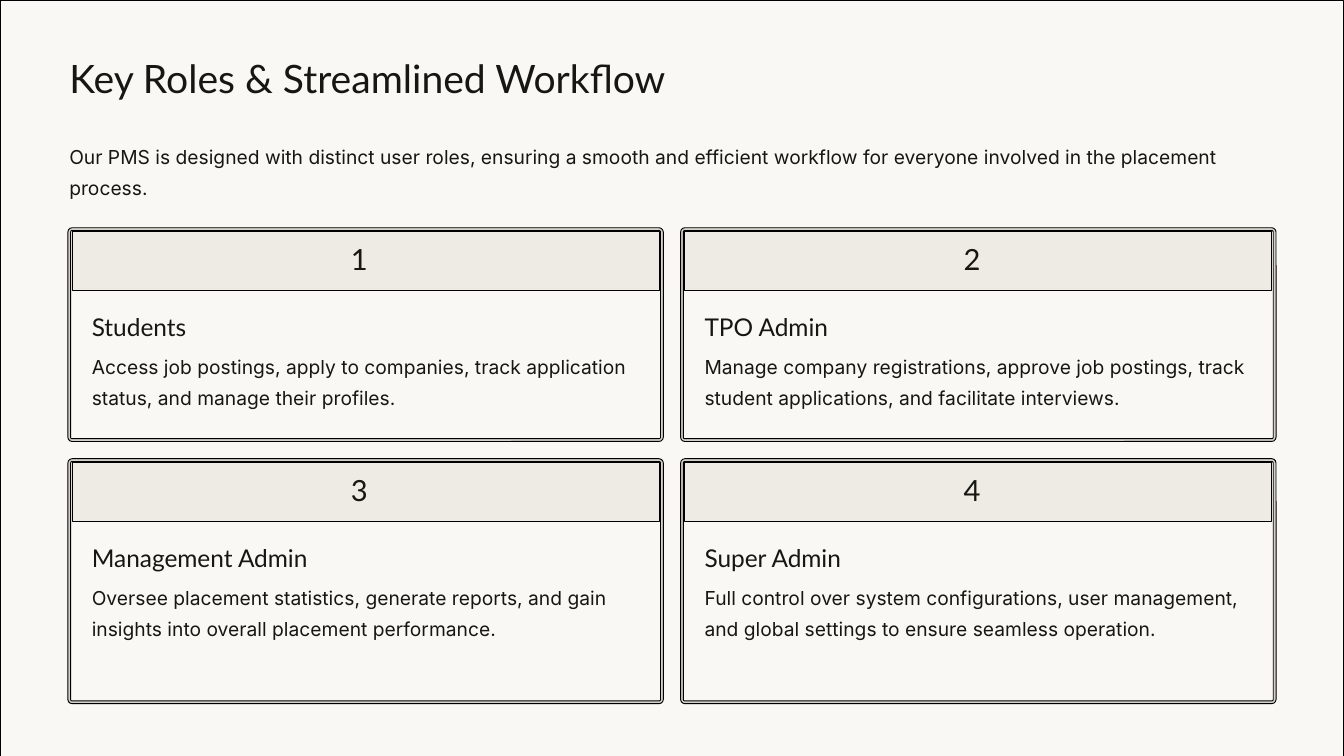
from dataclasses import dataclass

from lxml import etree
from pptx import Presentation
from pptx.dml.color import RGBColor
from pptx.enum import shapes, text
from pptx.oxml import ns
from pptx.util import Pt


@dataclass(frozen=True)
class Theme:
    """Colours and type styles (font, size, line spacing) of the slide."""
    page: str = "F9F8F5"
    border: str = "D3D1C9"
    band: str = "EDEBE3"
    ink: str = "161613"
    line: str = "000000"
    title: tuple = ("Lato", 41.9, 52.5)
    number: tuple = ("Lato", 31.2, 31.2)
    heading: tuple = ("Lato", 26.2, 33.1)
    body: tuple = ("Inter", 20.6, 33.7)


THEME = Theme()
WIDTH, HEIGHT = 1440, 810
MARGIN = 74.2
CARD_WIDTH, CARD_GAP = 635, 21.5
CARD_TOP = 245.5
ROW_HEIGHTS = (226, 259.5)
BORDER = 1.5
FRAME_FORMAT = {
    "margin_left": 0, "margin_top": 0, "margin_right": 0, "margin_bottom": 0,
    "word_wrap": True,
    "auto_size": text.MSO_AUTO_SIZE.NONE,
    "vertical_anchor": text.MSO_ANCHOR.TOP,
}
ROLES = [
    ("Students", "Access job postings, apply to companies, track application "
     "status, and manage their profiles."),
    ("TPO Admin", "Manage company registrations, approve job postings, track "
     "student applications, and facilitate interviews."),
    ("Management Admin", "Oversee placement statistics, generate reports, and gain "
     "insights into overall placement performance."),
    ("Super Admin", "Full control over system configurations, user management, "
     "and global settings to ensure seamless operation."),
]


def set_attributes(target, values):
    """Set every attribute named in a dict of format values."""
    for name, value in values.items():
        setattr(target, name, value)


def write(holder, words, style):
    """Write one paragraph in a theme style into a text holder."""
    font_name, size, spacing = style
    frame = holder.text_frame
    set_attributes(frame, FRAME_FORMAT)
    paragraph = frame.paragraphs[0]
    set_attributes(paragraph, {
        "alignment": text.PP_ALIGN.LEFT, "line_spacing": Pt(spacing),
        "space_before": Pt(0), "space_after": Pt(0),
    })
    run = paragraph.add_run()
    run.text = words
    set_attributes(run.font, {"name": font_name, "size": Pt(size)})
    run.font.color.rgb = RGBColor.from_string(THEME.ink)
    return paragraph


def add_label(slide, box, words, style):
    """Add a text box holding one styled paragraph."""
    write(slide.shapes.add_textbox(*map(Pt, box)), words, style)


def add_panel(slide, box, fill, radius=0):
    """Add a filled, outlined rectangle with optional rounded corners."""
    preset = shapes.MSO_SHAPE
    kind = preset.ROUNDED_RECTANGLE if radius else preset.RECTANGLE
    panel = slide.shapes.add_shape(kind, *map(Pt, box))
    if radius:
        panel.adjustments[0] = radius / min(box[2:])
    panel.shadow.inherit = False
    panel.fill.solid()
    panel.fill.fore_color.rgb = RGBColor.from_string(fill)
    panel.line.color.rgb = RGBColor.from_string(THEME.line)
    panel.line.width = Pt(1)


def fill_placeholder(placeholder, box, words, style):
    """Move a template placeholder and write its unbulleted text."""
    names = ("left", "top", "width", "height")
    set_attributes(placeholder, dict(zip(names, map(Pt, box))))
    properties = write(placeholder, words, style)._p.get_or_add_pPr()
    properties.set("marL", "0")
    properties.set("indent", "0")
    etree.SubElement(properties, ns.qn("a:buNone"))


def add_page(slide, box):
    """Add the outlined page panel behind all content."""
    add_panel(slide, box, THEME.page)


def add_header(slide, box):
    """Place the title and the introduction in the header box."""
    left, top, width, height = box
    fill_placeholder(slide.shapes.title, (left, top, 813, 52.5),
                     "Key Roles & Streamlined Workflow", THEME.title)
    fill_placeholder(slide.placeholders[1], (left, top + 90, width, height - 90),
                     "Our PMS is designed with distinct user roles, ensuring a smooth "
                     "and efficient workflow for everyone involved in the placement "
                     "process.", THEME.body)


def add_role_card(slide, box, number, role, duties):
    """Place a double-bordered card with a number band, role and duties."""
    left, top, width, height = box
    for inset, fill, radius in ((-BORDER, THEME.border, 4.6),
                                (BORDER, THEME.page, 1.5)):
        add_panel(slide, (left + inset, top + inset,
                          width - 2 * inset, height - 2 * inset), fill, radius)
    add_panel(slide, (left + 3, top + 3, width - 6, 63), THEME.band)
    add_label(slide, (left + width / 2 - 15.8, top + 19.5, 31.5, 35),
              str(number), THEME.number)
    add_label(slide, (left + 24.2, top + 87, 265, 34), role, THEME.heading)
    add_label(slide, (left + 24.2, top + 126, width - 48.4, 75.5),
              duties, THEME.body)


def add_role_grid(slide, left, top):
    """Lay the role cards out in two columns from the given corner."""
    for index, (role, duties) in enumerate(ROLES):
        row, column = divmod(index, 2)
        box = (left + column * (CARD_WIDTH + CARD_GAP),
               top + sum(ROW_HEIGHTS[:row]) + row * CARD_GAP,
               CARD_WIDTH, ROW_HEIGHTS[row])
        add_role_card(slide, box, index + 1, role, duties)


def main():
    """Build and save the roles slide."""
    deck = Presentation()
    set_attributes(deck, {"slide_width": Pt(WIDTH), "slide_height": Pt(HEIGHT)})
    slide = deck.slides.add_slide(deck.slide_layouts[1])
    add_page(slide, (0, 0, WIDTH, HEIGHT))
    page = slide.shapes[-1]._element
    slide.shapes.title._element.addprevious(page)
    add_header(slide, (MARGIN, 56.2, WIDTH - 2 * MARGIN, 165.5))
    add_role_grid(slide, MARGIN, CARD_TOP)
    deck.save("out.pptx")


if __name__ == "__main__":
    main()
